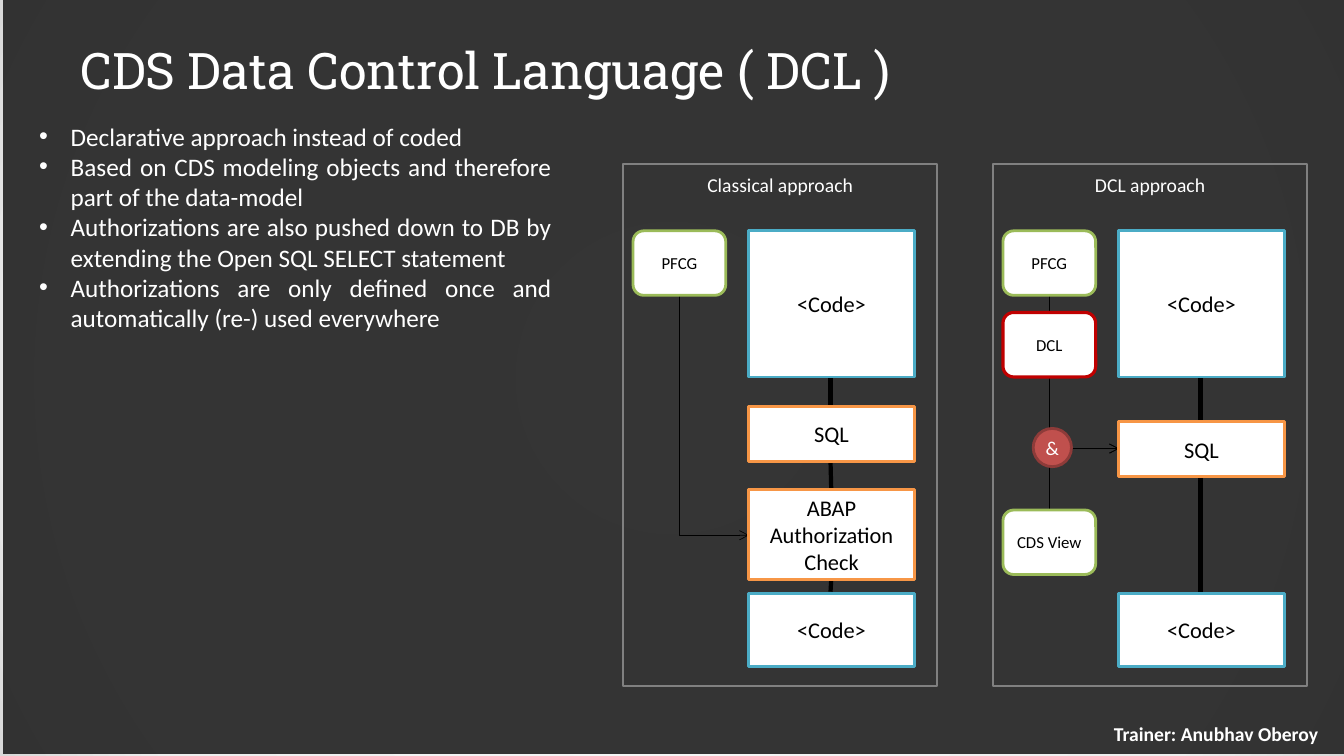
from dataclasses import dataclass

from lxml import etree
from pptx import Presentation
from pptx.dml.color import RGBColor
from pptx.enum.shapes import MSO_CONNECTOR, MSO_SHAPE
from pptx.enum.text import MSO_ANCHOR, PP_ALIGN
from pptx.oxml import parse_xml
from pptx.oxml.ns import nsdecls, qn
from pptx.util import Pt

RECT, ROUND, OVAL = MSO_SHAPE.RECTANGLE, MSO_SHAPE.ROUNDED_RECTANGLE, MSO_SHAPE.OVAL
STRAIGHT, ELBOW = MSO_CONNECTOR.STRAIGHT, MSO_CONNECTOR.ELBOW
TOP, MIDDLE = MSO_ANCHOR.TOP, MSO_ANCHOR.MIDDLE
LEFT, CENTER, JUSTIFY = PP_ALIGN.LEFT, PP_ALIGN.CENTER, PP_ALIGN.JUSTIFY

COLORS = {
    "white": "FFFFFF", "black": "000000", "cover": "262626", "frame": "808080",
    "green": "9BBB59", "orange": "F79646", "blue": "4BACC6", "red": "C00000",
    "badge": "C0504D", "badge_edge": "8E3B39",
}
BACKGROUND_STOPS = ((0, "FFFFFF"), (81, "EEEEEE"), (100, "D9D9D9"))
BODY_FONT = "Calibri"
BODY_INSETS = (7.2, 3.6, 7.2, 3.6)
LABEL_INSETS = (9.36, 5.04, 9.36, 5.04)
NODE_INSETS = (7.2, 5.76, 7.2, 5.76)
BULLET_INDENT = 22.5

PANEL_TOP, PANEL_W, PANEL_H = 117.36, 224.64, 372.96
SIDE_X, SIDE_W, SIDE_H = 7.2, 66.24, 46.08
SIDE_MID = SIDE_X + SIDE_W / 2
FLOW_X, FLOW_W = 90, 118.08
FLOW_MID = 148.3
ROW_TOP, LAST_TOP = 164.88, 424.08
CODE_H, SQL_H, LAST_H = 104.4, 39.6, 51.84


@dataclass(frozen=True)
class Node:
    text: str
    x: float
    y: float
    w: float
    h: float
    edge: str
    shape: int = RECT
    size: float = 16
    weight: float = 2
    fill: str = "white"
    ink: str = "black"
    insets: tuple[float, ...] = NODE_INSETS
    anchor: int = MIDDLE


@dataclass(frozen=True)
class Link:
    x1: float
    y1: float
    x2: float
    y2: float
    elbow: bool = False


@dataclass(frozen=True)
class Panel:
    title: str
    x: float
    nodes: tuple[Node, ...]
    links: tuple[Link, ...]


def side(text: str, y: float, edge: str = "green", weight: float = 2) -> Node:
    return Node(text, SIDE_X, y, SIDE_W, SIDE_H, edge, ROUND, 12, weight)


def flow(text: str, y: float, h: float, edge: str) -> Node:
    return Node(text, FLOW_X, y, FLOW_W, h, edge)


SHARED = (
    side("PFCG", ROW_TOP),
    flow("<Code>", ROW_TOP, CODE_H, "blue"),
    flow("<Code>", LAST_TOP, LAST_H, "blue"),
)
PANELS = (
    Panel("Classical approach", 444.96, SHARED + (
        flow("SQL", 290.16, SQL_H, "orange"),
        flow("ABAP Authorization Check", 349.92, 64.08, "orange"),
    ), (
        Link(FLOW_MID, 267.84, FLOW_MID, 290.16),
        Link(FLOW_MID, 329.76, FLOW_MID + 0.5, 349.92),
        Link(FLOW_MID + 0.5, 414, FLOW_MID, 422.64),
        Link(SIDE_MID, 210.96, FLOW_X, 382.32, True),
    )),
    Panel("DCL approach", 709.2, SHARED + (
        flow("SQL", 300.96, SQL_H, "orange"),
        side("DCL", 223.2, "red", 2.25),
        side("CDS View", 364.32),
        Node("&", 28.8, 306, 27.36, 27.36, "badge_edge", OVAL, 14,
             fill="badge", ink="white", insets=(0, 0, 0, 0)),
    ), (
        Link(FLOW_MID, 269.28, FLOW_MID, 300.96),
        Link(FLOW_MID, 340.56, FLOW_MID, 422.64),
        Link(SIDE_MID, 210.96, FLOW_X, 320.4, True),
        Link(SIDE_MID, 364.32, FLOW_X, 320.4, True),
    )),
)
BULLETS = (
    "Declarative approach instead of coded",
    "Based on CDS modeling objects and therefore part of the data-model",
    "Authorizations are also pushed down to DB by extending the Open SQL SELECT statement",
    "Authorizations are only defined once and automatically (re-) used everywhere",
)


def rgb(name: str) -> RGBColor:
    return RGBColor.from_string(COLORS[name])


def write(sp, lines: tuple[str, ...], size: float, ink: str, align: int,
          anchor: int, insets: tuple[float, ...], font: str = BODY_FONT,
          bold: bool = False, bullets: bool = False) -> None:
    tf = sp.text_frame
    tf.word_wrap, tf.vertical_anchor = True, anchor
    tf.margin_left, tf.margin_top, tf.margin_right, tf.margin_bottom = map(Pt, insets)
    for i, line in enumerate(lines):
        p = tf.add_paragraph() if i else tf.paragraphs[0]
        p.alignment = align
        if bullets:
            pPr = p._p.get_or_add_pPr()
            pPr.set("marL", str(Pt(BULLET_INDENT)))
            pPr.set("indent", str(-Pt(BULLET_INDENT)))
            etree.SubElement(pPr, qn("a:buFont"), typeface="Arial")
            etree.SubElement(pPr, qn("a:buChar"), char="•")
        r = p.add_run()
        r.text = line
        r.font.name, r.font.size, r.font.bold = font, Pt(size), bold
        r.font.color.rgb = rgb(ink)


def draw_node(s, n: Node, dx: float = 0) -> None:
    sp = s.shapes.add_shape(n.shape, Pt(dx + n.x), Pt(n.y), Pt(n.w), Pt(n.h))
    sp.shadow.inherit = False
    if n.fill:
        sp.fill.solid()
        sp.fill.fore_color.rgb = rgb(n.fill)
    else:
        sp.fill.background()
    sp.line.color.rgb = rgb(n.edge)
    sp.line.width = Pt(n.weight)
    write(sp, (n.text,), n.size, n.ink, CENTER, n.anchor, n.insets)


def draw_link(s, k: Link, dx: float) -> None:
    x1, y1, x2, y2 = dx + k.x1, k.y1, dx + k.x2, k.y2
    if k.elbow:
        mx, my = (x1 + x2) / 2, (y1 + y2) / 2
        half_w, half_h = (y2 - y1) / 2, (x2 - x1) / 2
        x1, y1, x2, y2 = mx + half_w, my - half_h, mx - half_w, my + half_h
    c = s.shapes.add_connector(ELBOW if k.elbow else STRAIGHT, Pt(x1), Pt(y1), Pt(x2), Pt(y2))
    c.line.color.rgb = rgb("black")
    c.line.width = Pt(0.5 if k.elbow else 3)
    spPr = c._element.spPr
    if k.elbow:
        spPr.find(qn("a:xfrm")).set("rot", str(270 * 60000))
        spPr.find(qn("a:prstGeom")).set("prst", "bentConnector2")
        etree.SubElement(spPr.find(qn("a:ln")), qn("a:tailEnd"), type="arrow")
    etree.SubElement(spPr, qn("a:effectLst"))


def draw_background(s) -> None:
    stops = "".join(f'<a:gs pos="{pos * 1000}"><a:srgbClr val="{color}"/></a:gs>'
                    for pos, color in BACKGROUND_STOPS)
    s._element.cSld.insert(0, parse_xml(
        f'<p:bg {nsdecls("p", "a")}><p:bgPr><a:gradFill><a:gsLst>{stops}</a:gsLst>'
        '<a:path path="circle"><a:fillToRect l="50000" t="50000" r="50000" b="50000"/>'
        '</a:path></a:gradFill><a:effectLst/></p:bgPr></p:bg>'))
    cover = s.shapes.add_shape(RECT, Pt(2.16), Pt(-1.44), Pt(960), Pt(540))
    cover.shadow.inherit = False
    cover.fill.solid()
    cover.fill.fore_color.rgb = rgb("cover")
    cover.line.fill.background()
    color = cover._element.spPr.find(qn("a:solidFill"))[0]
    etree.SubElement(color, qn("a:alpha"), val="93000")


def main() -> None:
    prs = Presentation()
    prs.slide_width, prs.slide_height = Pt(960), Pt(540)
    s = prs.slides.add_slide(prs.slide_layouts[6])
    draw_background(s)
    title = s.shapes.add_textbox(Pt(48.24), Pt(21.6), Pt(864), Pt(56.16))
    write(title, ("CDS Data Control Language ( DCL )",), 36, "white", LEFT, MIDDLE,
          LABEL_INSETS, font="Roboto Slab")
    trainer = s.shapes.add_textbox(Pt(780.48), Pt(509.76), Pt(176.4), Pt(28.08))
    write(trainer, ("Trainer: Anubhav Oberoy",), 14, "white", CENTER, MIDDLE,
          LABEL_INSETS, bold=True)
    body = s.shapes.add_textbox(Pt(20.88), Pt(82.8), Pt(380.16), Pt(181.44))
    write(body, BULLETS, 18, "white", JUSTIFY, TOP, BODY_INSETS, bullets=True)
    for panel in PANELS:
        draw_node(s, Node(panel.title, panel.x, PANEL_TOP, PANEL_W, PANEL_H, "frame",
                          size=14, weight=1.5, fill="", ink="white",
                          insets=(6.48, 6.48, 6.48, 13.68), anchor=TOP))
        for link in panel.links:
            draw_link(s, link, panel.x)
        for node in panel.nodes:
            draw_node(s, node, panel.x)
    prs.save("out.pptx")


if __name__ == "__main__":
    main()
